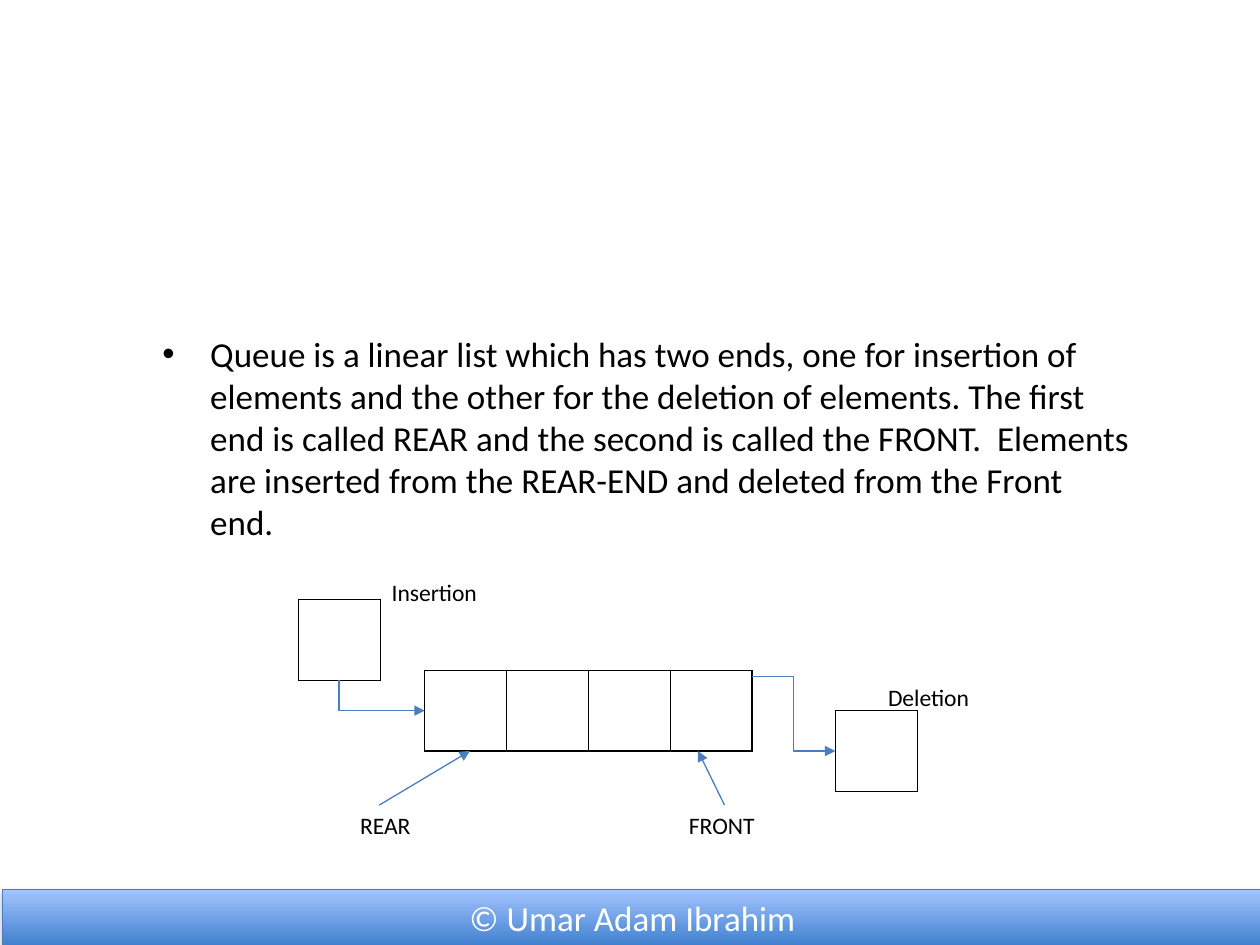
from dataclasses import dataclass

from lxml.etree import SubElement
from pptx import Presentation
from pptx.dml.color import RGBColor as Color
from pptx.enum.shapes import MSO_CONNECTOR as Link, MSO_SHAPE as Preset
from pptx.enum.text import MSO_ANCHOR as Anchor, MSO_AUTO_SIZE as AutoSize, PP_ALIGN as Align
from pptx.oxml.ns import qn
from pptx.util import Inches, Pt


@dataclass(frozen=True)
class Theme:
    font: str = "Calibri"
    ink: str = "000000"
    paper: str = "FFFFFF"
    accent: str = "4B7EBC"
    bar_bottom: str = "3F80CE"
    bar_top: str = "A4C4FF"
    body_size: float = 20
    label_size: float = 13.5
    line_width: float = 0.75
    border_width: float = 1
    cell: float = 0.65


class QueueSlide:
    """Draws the elements of a queue diagram on one slide in a shared style."""

    def __init__(self, slide, theme):
        self.shapes = slide.shapes
        self.theme = theme

    def set_text(self, para, text, size, color):
        para.text = text
        para.font.name = self.theme.font
        para.font.size = Pt(size)
        para.font.color.rgb = Color.from_string(color)

    def bullet(self, text, left, top, width, height):
        frame = self.shapes.add_textbox(*map(Inches, (left, top, width, height))).text_frame
        frame.word_wrap = True
        para = frame.paragraphs[0]
        properties = para._p.get_or_add_pPr()
        properties.set("marL", str(Inches(0.38)))
        properties.set("indent", str(Inches(-0.38)))
        SubElement(properties, qn("a:buFont"), typeface="Arial")
        SubElement(properties, qn("a:buChar"), char="•")
        self.set_text(para, text, self.theme.body_size, self.theme.ink)

    def label(self, text, left, top, width):
        frame = self.shapes.add_textbox(*map(Inches, (left, top, width, 0.33))).text_frame
        frame.word_wrap = False
        frame.auto_size = AutoSize.SHAPE_TO_FIT_TEXT
        self.set_text(frame.paragraphs[0], text, self.theme.label_size, self.theme.ink)

    def cells(self, count, left, top):
        side = self.theme.cell
        height = 0.64
        table = self.shapes.add_table(
            1, count, *map(Inches, (left, top, side * count, height))).table
        table.first_row = table.horz_banding = False
        for cell in table.iter_cells():
            properties = cell._tc.get_or_add_tcPr()
            for edge in ("a:lnL", "a:lnR", "a:lnT", "a:lnB"):
                border = SubElement(properties, qn(edge), w=str(Pt(self.theme.border_width)))
                fill = SubElement(border, qn("a:solidFill"))
                SubElement(fill, qn("a:srgbClr"), val=self.theme.ink)
            cell.fill.background()

    def arrow(self, start, end, kind=Link.STRAIGHT):
        connector = self.shapes.add_connector(kind, *map(Inches, (*start, *end)))
        connector.line.color.rgb = Color.from_string(self.theme.accent)
        connector.line.width = Pt(self.theme.line_width)
        properties = connector._element.spPr
        SubElement(properties.find(qn("a:ln")), qn("a:tailEnd"), type="triangle")
        SubElement(properties, qn("a:effectLst"))
        return connector

    def corner_arrow(self, start, end):
        """Runs down from start, then right to end."""
        across, down = end[0] - start[0], end[1] - start[1]
        left = (start[0] + end[0] - down) / 2
        top = (start[1] + end[1] - across) / 2
        connector = self.arrow((left, top), (left + down, top + across), Link.ELBOW)
        properties = connector._element.spPr
        properties.find(qn("a:prstGeom")).set("prst", "bentConnector2")
        frame = properties.find(qn("a:xfrm"))
        frame.set("rot", str(270 * 60000))
        frame.set("flipH", "1")

    def footer(self, text, left, top, width, height):
        bar = self.shapes.add_shape(
            Preset.RECTANGLE, *map(Inches, (left, top, width, height)))
        bar.fill.gradient()
        bar.fill.gradient_angle = 90
        colors = (self.theme.bar_bottom, self.theme.bar_top)
        for stop, position, color in zip(bar.fill.gradient_stops, (0, 1), colors):
            stop.position = position
            stop.color.rgb = Color.from_string(color)
        bar.line.color.rgb = Color.from_string(self.theme.accent)
        bar.line.width = Pt(self.theme.line_width)
        bar.shadow.inherit = False
        effects = bar._element.spPr.find(qn("a:effectLst"))
        shadow = SubElement(effects, qn("a:outerShdw"), blurRad=str(Pt(3.1)),
                            dist=str(Pt(1.8)), dir=str(90 * 60000), rotWithShape="0")
        tint = SubElement(shadow, qn("a:srgbClr"), val=self.theme.ink)
        SubElement(tint, qn("a:alpha"), val="35000")
        bar.text_frame.vertical_anchor = Anchor.MIDDLE
        para = bar.text_frame.paragraphs[0]
        para.alignment = Align.CENTER
        self.set_text(para, text, self.theme.body_size, self.theme.paper)


def main():
    deck = Presentation()
    deck.slide_width, deck.slide_height = Inches(10), Inches(7.5)
    page = QueueSlide(deck.slides.add_slide(deck.slide_layouts[6]), Theme())

    page.bullet(
        "Queue is a linear list which has two ends, one for insertion of elements "
        "and the other for the deletion of elements. The first end is called REAR "
        "and the second is called the FRONT.  Elements are inserted from the "
        "REAR-END and deleted from the Front end.", 1.19, 2.59, 7.88, 1.44)

    for count, left, top in ((4, 3.37, 5.32), (1, 2.37, 4.76), (1, 6.63, 5.64)):
        page.cells(count, left, top)

    page.corner_arrow((2.69, 5.4), (3.37, 5.64))
    page.arrow((5.97, 5.37), (6.63, 5.96), Link.ELBOW)
    page.arrow((3.01, 6.39), (3.73, 5.96))
    page.arrow((5.75, 6.39), (5.54, 5.96))

    for text, left, top, width in (
        ("Insertion", 3.01, 4.54, 0.89),
        ("Deletion", 6.95, 5.37, 0.86),
        ("REAR", 2.76, 6.39, 0.61),
        ("FRONT", 5.37, 6.39, 0.73),
    ):
        page.label(text, left, top, width)

    page.footer("© Umar Adam Ibrahim", 0.02, 7.06, 10, 0.45)
    deck.save("out.pptx")


if __name__ == "__main__":
    main()
